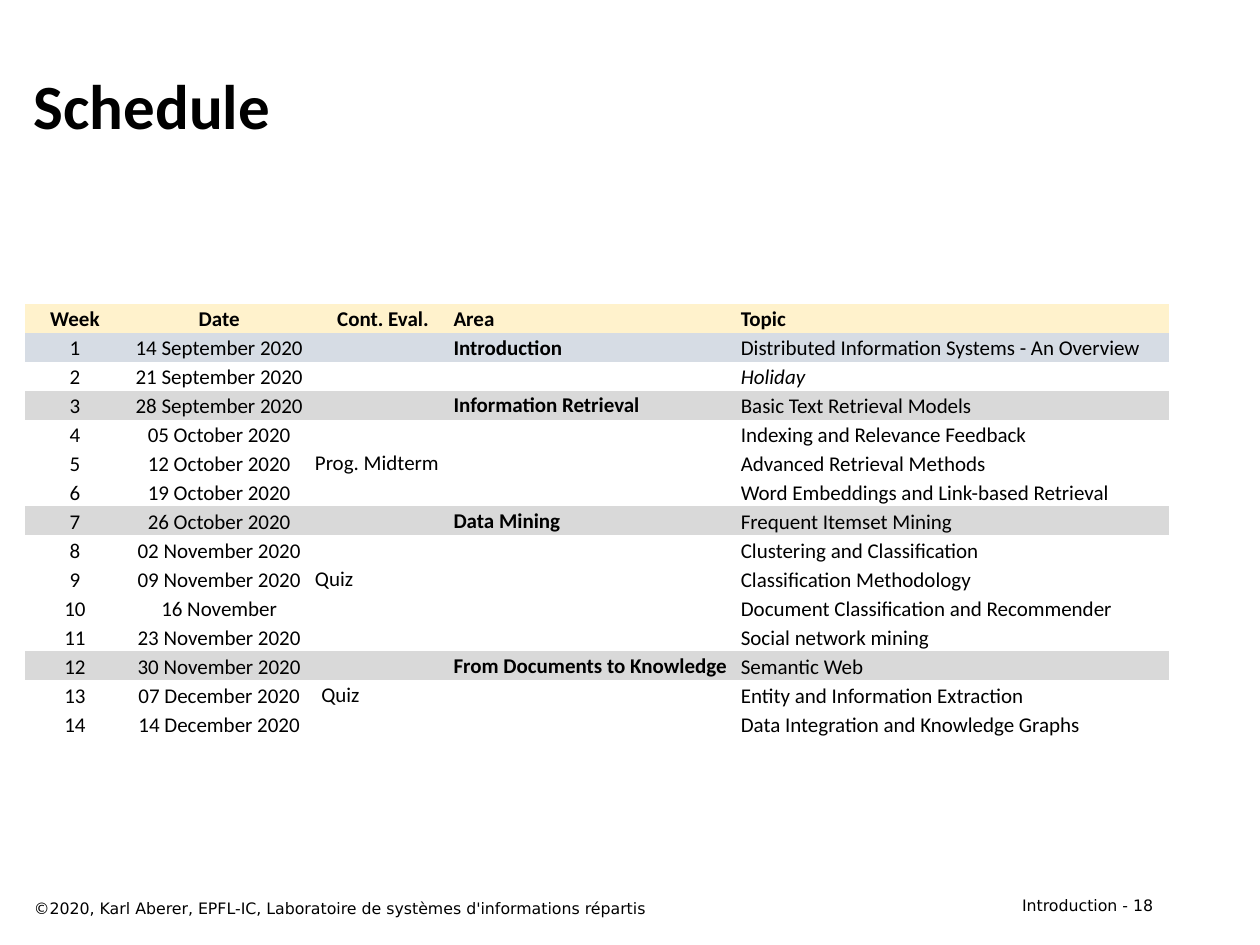
from pptx import Presentation
from pptx.dml.color import RGBColor
from pptx.enum.text import MSO_ANCHOR, PP_ALIGN
from pptx.util import Inches, Pt

HEADER_FILL = "FFF2CC"
CURRENT_FILL = "D6DCE4"
AREA_FILL = "D9D9D9"
NO_STYLE_NO_GRID = "{2D5ABB26-0587-4C30-8999-92F81FD0307C}"


def set_font(paragraph, name, size, bold=False, italic=False, color="000000"):
    font = paragraph.font
    font.name, font.size, font.bold, font.italic = name, Pt(size), bold, italic
    font.color.rgb = RGBColor.from_string(color)


def add_text(left, top, width, height, text, font_name, size, bold=False,
             align=PP_ALIGN.LEFT, anchor=MSO_ANCHOR.TOP):
    text_box = slide.shapes.add_textbox(
        Inches(left), Inches(top), Inches(width), Inches(height))
    frame = text_box.text_frame
    frame.word_wrap = True
    frame.vertical_anchor = anchor
    paragraph = frame.paragraphs[0]
    paragraph.text = text
    paragraph.alignment = align
    set_font(paragraph, font_name, size, bold)


presentation = Presentation()
presentation.slide_width = Inches(10)
presentation.slide_height = Inches(7.5)
slide = presentation.slides.add_slide(presentation.slide_layouts[6])

add_text(7.17, 7.06, 2.08, 0.25, "Introduction - 18", "DejaVu Sans", 9,
         align=PP_ALIGN.RIGHT)
add_text(0.17, 0.33, 9.08, 1, "Schedule", "Calibri", 36, bold=True,
         anchor=MSO_ANCHOR.MIDDLE)

schedule = [
    ("Week", "Date", "Cont. Eval.", "Area", "Topic"),
    ("1", "14 September 2020", "", "Introduction",
     "Distributed Information Systems - An Overview"),
    ("2", "21 September 2020", "", "", "Holiday"),
    ("3", "28 September 2020", "", "Information Retrieval",
     "Basic Text Retrieval Models"),
    ("4", "05 October 2020", "", "", "Indexing and Relevance Feedback"),
    ("5", "12 October 2020", "Prog. Midterm", "", "Advanced Retrieval Methods"),
    ("6", "19 October 2020", "", "", "Word Embeddings and Link-based Retrieval"),
    ("7", "26 October 2020", "", "Data Mining", "Frequent Itemset Mining"),
    ("8", "02 November 2020", "", "", "Clustering and Classification"),
    ("9", "09 November 2020", "Quiz", "", "Classification Methodology"),
    ("10", "16 November", "", "", "Document Classification and Recommender"),
    ("11", "23 November 2020", "", "", "Social network mining"),
    ("12", "30 November 2020", "", "From Documents to Knowledge", "Semantic Web"),
    ("13", "07 December 2020", "Quiz", "", "Entity and Information Extraction"),
    ("14", "14 December 2020", "", "", "Data Integration and Knowledge Graphs"),
]
column_widths = [0.79, 1.5, 1.1, 2.28, 3.41]
row_height = 0.23

table = slide.shapes.add_table(
    len(schedule), len(column_widths), Inches(0.2), Inches(2.41),
    Inches(sum(column_widths)), Inches(row_height * len(schedule))).table
table._tbl.tblPr.find("{*}tableStyleId").text = NO_STYLE_NO_GRID
table.first_row = table.horz_banding = False
for column, width in zip(table.columns, column_widths):
    column.width = Inches(width)

for row_index, values in enumerate(schedule):
    table.rows[row_index].height = Inches(row_height)
    week, area = values[0], values[3]
    is_header = row_index == 0
    if is_header:
        row_fill = HEADER_FILL
    elif week == "1":
        row_fill = CURRENT_FILL
    else:
        row_fill = AREA_FILL if area else None

    for column_index, text in enumerate(values):
        cell = table.cell(row_index, column_index)
        is_evaluation = column_index == 2 and not is_header
        is_area = column_index == 3
        raised = is_evaluation or (is_area and row_index > 1)
        cell.vertical_anchor = MSO_ANCHOR.BOTTOM
        cell.margin_left = cell.margin_right = cell.margin_top = Inches(0.01)
        cell.margin_bottom = Inches(0.01 if raised else 0)
        if is_evaluation and week == "13":
            cell.margin_left = Inches(0.06)
        if row_fill:
            cell.fill.solid()
            cell.fill.fore_color.rgb = RGBColor.from_string(row_fill)
        else:
            cell.fill.background()

        paragraph = cell.text_frame.paragraphs[0]
        centered = column_index < 2 or (is_header and column_index == 2)
        paragraph.alignment = PP_ALIGN.CENTER if centered else PP_ALIGN.LEFT
        if text:
            paragraph.text = text
        else:
            # The end mark sets the height of an empty line
            paragraph._p.get_or_add_endParaRPr().set("sz", "1200")
        set_font(paragraph, "Calibri", 12, bold=is_header or is_area,
                 italic=text == "Holiday")

last_row = len(schedule) - 1
table.cell(last_row, 2).merge(table.cell(last_row, 3))

add_text(0.17, 7.08, 6.42, 0.25,
         "©2020, Karl Aberer, EPFL-IC, Laboratoire de systèmes d'informations répartis",
         "DejaVu Sans", 9)

presentation.save("out.pptx")
